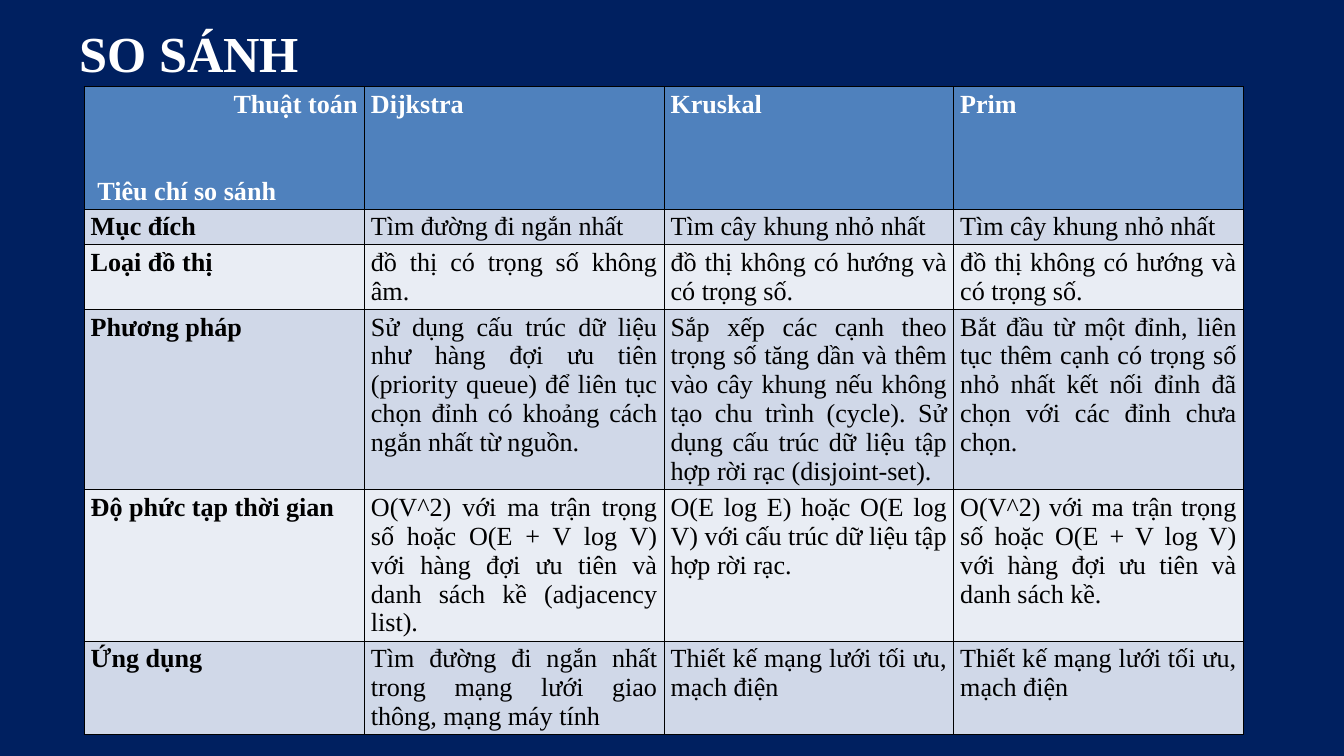
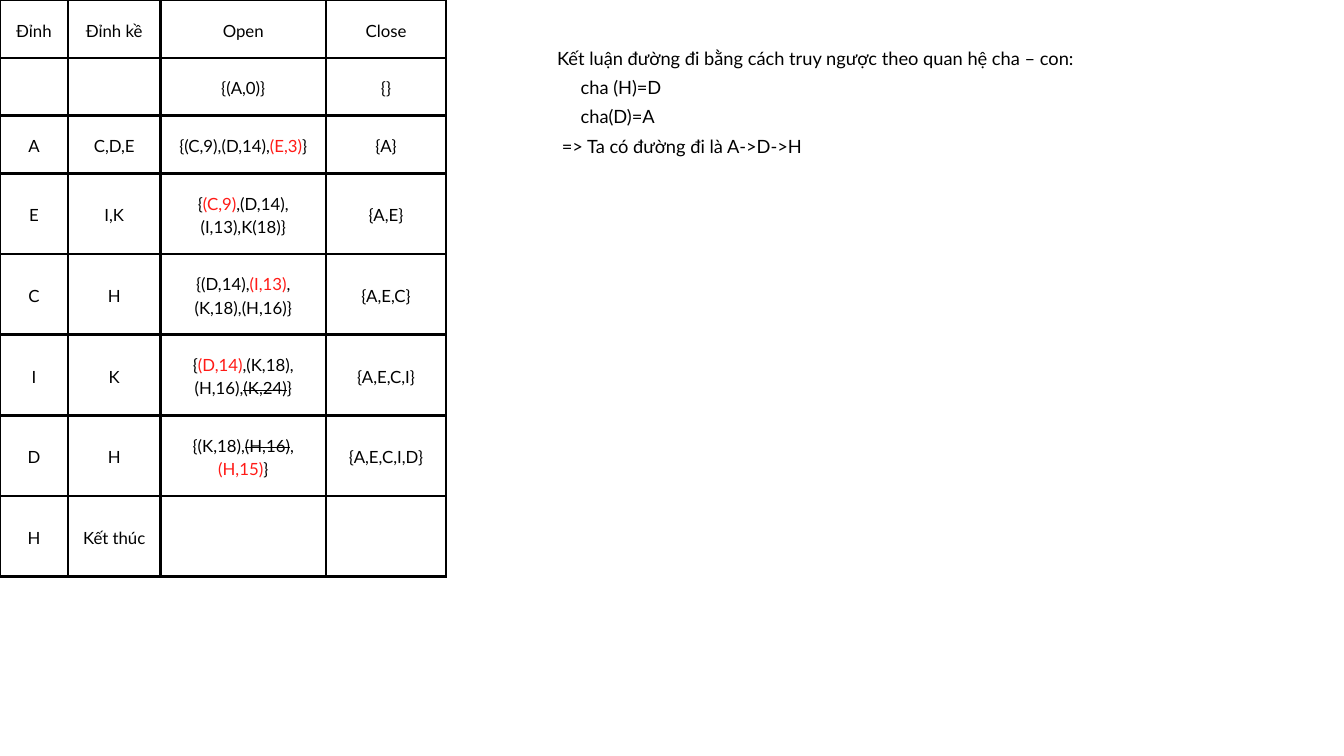
"""Build two slides: a comparison of graph algorithms and a search trace with its conclusion."""
from dataclasses import dataclass, replace

from lxml import etree
from pptx import Presentation
from pptx import util as u
from pptx.dml.color import RGBColor
from pptx.enum import text as t
from pptx.oxml import ns


@dataclass(frozen=True)
class Theme:
    navy: str = "002060"
    white: str = "FFFFFF"
    black: str = "000000"
    red: str = "FF1A16"
    header: str = "4F81BD"
    bands: tuple[str, str] = ("D0D8E8", "E9EDF4")
    serif: str = "Times New Roman"
    sans: str = "Lato"
    title_size: float = 54
    comparison_size: float = 28
    trace_size: float = 18
    conclusion_size: float = 19.6


THEME = Theme()


@dataclass(frozen=True)
class TextStyle:
    font: str
    size: float
    color: str = THEME.black
    bold: bool = False
    align: t.PP_ALIGN = t.PP_ALIGN.LEFT
    spacing: float | None = None


@dataclass(frozen=True)
class Span:
    text: str
    color: str | None = None
    strike: bool = False


@dataclass(frozen=True)
class Line:
    spans: tuple[Span, ...]
    indent: float = 0
    before: float = 0
    align: t.PP_ALIGN | None = None


@dataclass(frozen=True)
class Cell:
    lines: tuple[Line, ...]
    style: TextStyle
    fill: str | None = None


@dataclass(frozen=True)
class Grid:
    left: float
    top: float
    columns: tuple[float, ...]
    rows: tuple[float, ...]
    border: float
    inset: tuple[float, float]
    anchor: t.MSO_ANCHOR


TITLE = TextStyle(THEME.serif, THEME.title_size, THEME.white, True)
BODY = TextStyle(THEME.serif, THEME.comparison_size, align=t.PP_ALIGN.JUSTIFY)
LABEL = replace(BODY, bold=True)
HEADER = replace(LABEL, color=THEME.white)
TRACE = TextStyle(THEME.sans, THEME.trace_size, align=t.PP_ALIGN.CENTER, spacing=25.2)
CONCLUSION = TextStyle(THEME.sans, THEME.conclusion_size, spacing=31.4)

COMPARISON_LINES = (4, 1, 2, 6, 5, 3)
COMPARISON_GRID = Grid(1.25, 1.29, (4.17, 4.46, 4.31, 4.31),
                       tuple(0.1 + 0.43 * count for count in COMPARISON_LINES),
                       1, (0.1, 0.05), t.MSO_ANCHOR.TOP)
TRACE_GRID = Grid(0, 0, (1.01, 1.38, 2.46, 1.79), (0.86,) * 3 + (1.2,) * 5,
                  3, (0.21, 0.21), t.MSO_ANCHOR.MIDDLE)

ALGORITHMS = ("Dijkstra", "Kruskal", "Prim")
CRITERIA = (
    ("Mục đích", "Tìm đường đi ngắn nhất", "Tìm cây khung nhỏ nhất", "Tìm cây khung nhỏ nhất"),
    ("Loại đồ thị", "đồ thị có trọng số không âm.",
     "đồ thị không có hướng và có trọng số.", "đồ thị không có hướng và có trọng số."),
    ("Phương pháp",
     "Sử dụng cấu trúc dữ liệu như hàng đợi ưu tiên (priority queue) để liên tục chọn đỉnh "
     "có khoảng cách ngắn nhất từ nguồn.",
     "Sắp xếp các cạnh theo trọng số tăng dần và thêm vào cây khung nếu không tạo chu trình "
     "(cycle). Sử dụng cấu trúc dữ liệu tập hợp rời rạc (disjoint-set).",
     "Bắt đầu từ một đỉnh, liên tục thêm cạnh có trọng số nhỏ nhất kết nối đỉnh đã chọn với "
     "các đỉnh chưa chọn."),
    ("Độ phức tạp thời gian",
     "O(V^2) với ma trận trọng số hoặc O(E + V log V) với hàng đợi ưu tiên và danh sách kề "
     "(adjacency list).",
     "O(E log E) hoặc O(E log V) với cấu trúc dữ liệu tập hợp rời rạc.",
     "O(V^2) với ma trận trọng số hoặc O(E + V log V) với hàng đợi ưu tiên và danh sách kề."),
    ("Ứng dụng", "Tìm đường đi ngắn nhất trong mạng lưới giao thông, mạng máy tính",
     "Thiết kế mạng lưới tối ưu, mạch điện", "Thiết kế mạng lưới tối ưu, mạch điện"),
)


def chosen(text: str) -> Span:
    """Return a span for the vertex picked next."""
    return Span(text, color=THEME.red)


def dropped(text: str) -> Span:
    """Return a span for a vertex that was struck out."""
    return Span(text, strike=True)


def line(*parts: str | Span, indent: float = 0, before: float = 0,
         align: t.PP_ALIGN | None = None) -> Line:
    """Return a line made of plain strings and spans."""
    spans = tuple(Span(part) if isinstance(part, str) else part for part in parts)
    return Line(spans, indent, before, align)


TRACE_STEPS = (
    ("Đỉnh", "Đỉnh kề", ("Open",), "Close"),
    ("", "", ("{(A,0)}",), "{}"),
    ("A", "C,D,E", ("{(C,9),(D,14),", chosen("(E,3)"), "}"), "{A}"),
    ("E", "I,K", ("{", chosen("(C,9)"), ",(D,14),(I,13),K(18)}"), "{A,E}"),
    ("C", "H", ("{(D,14),", chosen("(I,13)"), ",(K,18),(H,16)}"), "{A,E,C}"),
    ("I", "K", ("{", chosen("(D,14)"), ",(K,18),(H,16),", dropped("(K,24)"), "}"), "{A,E,C,I}"),
    ("D", "H", ("{(K,18),", dropped("(H,16)"), ",", chosen("(H,15)"), "}"), "{A,E,C,I,D}"),
    ("H", "Kết thúc", ("",), ""),
)
CONCLUSION_LINES = (
    line("Kết luận đường đi bằng cách truy ngược theo quan hệ cha – con:"),
    line("cha (H)=D", indent=0.35),
    line("cha(D)=A", indent=0.35),
    line("=> Ta có đường đi là A->D->H", indent=0.07),
)


def write_lines(frame, lines: tuple[Line, ...], style: TextStyle) -> None:
    """Fill a text frame with styled lines."""
    for index, item in enumerate(lines):
        paragraph = frame.add_paragraph() if index else frame.paragraphs[0]
        paragraph.alignment = style.align if item.align is None else item.align
        if style.spacing:
            paragraph.line_spacing = u.Pt(style.spacing)
        if item.before:
            paragraph.space_before = u.Pt(item.before)
        if item.indent:
            paragraph._p.get_or_add_pPr().set("marL", str(u.Inches(item.indent)))
        font = paragraph.font
        font.name, font.size, font.bold = style.font, u.Pt(style.size), style.bold
        font.color.rgb = RGBColor.from_string(style.color)
        for span in item.spans:
            if not span.text:
                continue
            run = paragraph.add_run()
            run.text = span.text
            if span.color:
                run.font.color.rgb = RGBColor.from_string(span.color)
            if span.strike:
                run._r.get_or_add_rPr().set("strike", "sngStrike")


def set_borders(cell, width: float) -> None:
    """Draw a black line on all four sides of a cell."""
    properties = cell._tc.get_or_add_tcPr()
    for side in ("a:lnL", "a:lnR", "a:lnT", "a:lnB"):
        border = etree.SubElement(properties, ns.qn(side), w=str(u.Pt(width)))
        fill = etree.SubElement(border, ns.qn("a:solidFill"))
        etree.SubElement(fill, ns.qn("a:srgbClr"), val=THEME.black)


def draw_table(slide, grid: Grid, content: list[list[Cell]]) -> None:
    """Add a table with bordered cells."""
    table = slide.shapes.add_table(
        len(grid.rows), len(grid.columns), u.Inches(grid.left), u.Inches(grid.top),
        u.Inches(sum(grid.columns)), u.Inches(sum(grid.rows))).table
    table.first_row = table.horz_banding = False
    for column, width in zip(table.columns, grid.columns):
        column.width = u.Inches(width)
    for row, height, items in zip(table.rows, grid.rows, content):
        row.height = u.Inches(height)
        for cell, item in zip(row.cells, items):
            cell.margin_left = cell.margin_right = u.Inches(grid.inset[0])
            cell.margin_top = cell.margin_bottom = u.Inches(grid.inset[1])
            cell.vertical_anchor = grid.anchor
            set_borders(cell, grid.border)
            if item.fill:
                cell.fill.solid()
                cell.fill.fore_color.rgb = RGBColor.from_string(item.fill)
            else:
                cell.fill.background()
            write_lines(cell.text_frame, item.lines, item.style)


def add_slide(presentation, layout: int, background: str):
    """Add a slide with a plain background."""
    slide = presentation.slides.add_slide(presentation.slide_layouts[layout])
    slide.background.fill.solid()
    slide.background.fill.fore_color.rgb = RGBColor.from_string(background)
    return slide


def place(shape, left: float, top: float, width: float, height: float) -> None:
    """Move and size a shape."""
    shape.left, shape.top = u.Inches(left), u.Inches(top)
    shape.width, shape.height = u.Inches(width), u.Inches(height)


def build_comparison(presentation) -> None:
    """Build the slide that compares three algorithms."""
    slide = add_slide(presentation, 5, THEME.navy)
    title = slide.shapes.title
    place(title, 1.08, 0.28, 5, 1.01)
    title.text_frame.vertical_anchor = t.MSO_ANCHOR.MIDDLE
    write_lines(title.text_frame, (line("SO SÁNH"),), TITLE)

    corner = (line("Thuật toán", align=t.PP_ALIGN.RIGHT),
              line("Tiêu chí so sánh", indent=0.1, before=62))
    content = [[Cell(corner, HEADER, THEME.header)]
               + [Cell((line(name),), HEADER, THEME.header) for name in ALGORITHMS]]
    for index, (label, *values) in enumerate(CRITERIA):
        band = THEME.bands[index % 2]
        content.append([Cell((line(label),), LABEL, band)]
                       + [Cell((line(value),), BODY, band) for value in values])
    draw_table(slide, COMPARISON_GRID, content)


def build_trace(presentation) -> None:
    """Build the slide with the search trace and its conclusion."""
    slide = add_slide(presentation, 6, THEME.white)
    content = [[Cell((line(*parts),), TRACE)
                for parts in ((vertex,), (adjacent,), opened, (closed,))]
               for vertex, adjacent, opened, closed in TRACE_STEPS]
    draw_table(slide, TRACE_GRID, content)

    box = slide.shapes.add_textbox(0, 0, 0, 0)
    place(box, 8.29, 0.59, 7.75, 1.68)
    frame = box.text_frame
    frame.word_wrap = True
    frame.auto_size = t.MSO_AUTO_SIZE.SHAPE_TO_FIT_TEXT
    frame.margin_left = frame.margin_right = frame.margin_top = frame.margin_bottom = 0
    write_lines(frame, CONCLUSION_LINES, CONCLUSION)


def main() -> None:
    """Build and save the presentation."""
    presentation = Presentation()
    presentation.slide_width, presentation.slide_height = u.Inches(20), u.Inches(11.25)
    build_comparison(presentation)
    build_trace(presentation)
    presentation.save("out.pptx")


if __name__ == "__main__":
    main()
